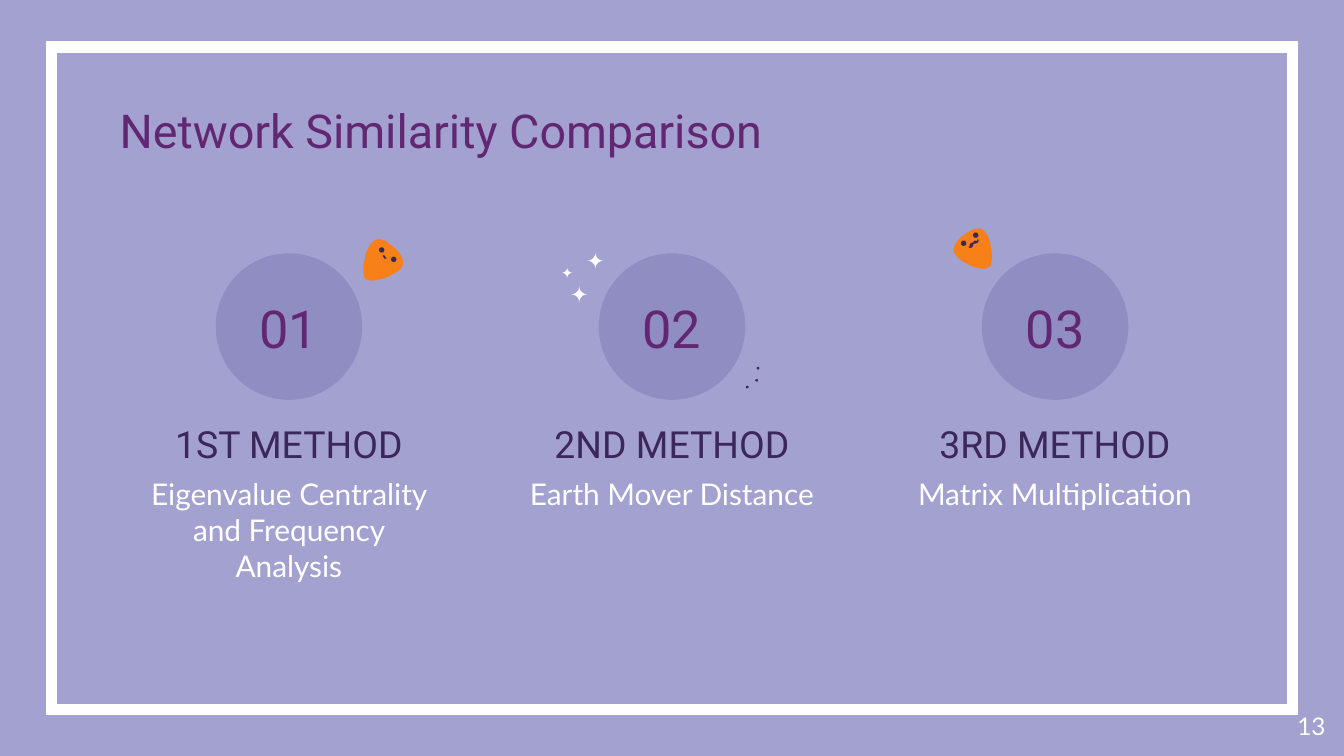
import math

import lxml.etree
import pptx
import pptx.dml.color
import pptx.enum.shapes
import pptx.enum.text
import pptx.oxml.ns
import pptx.util

Inches, Pt = pptx.util.Inches, pptx.util.Pt
RGBColor = pptx.dml.color.RGBColor
MSO_SHAPE = pptx.enum.shapes.MSO_SHAPE
PP_ALIGN, MSO_ANCHOR = pptx.enum.text.PP_ALIGN, pptx.enum.text.MSO_ANCHOR

LAVENDER = RGBColor(0xA3, 0xA1, 0xD0)
VIOLET = RGBColor(0x8F, 0x8D, 0xC2)
PLUM = RGBColor(0x62, 0x27, 0x73)
INDIGO = RGBColor(0x3C, 0x27, 0x59)
ORANGE = RGBColor(0xF8, 0x80, 0x18)
WHITE = RGBColor(0xFF, 0xFF, 0xFF)

# Content
TITLE = "Network Similarity Comparison"
METHODS = [
    ("01", "1ST METHOD", "Eigenvalue Centrality and Frequency Analysis"),
    ("02", "2ND METHOD", "Earth Mover Distance"),
    ("03", "3RD METHOD", "Matrix Multiplication"),
]
PAGE = "13"

# Decorations: sparkles and dots as (centre x, centre y, radius)
SPARKLES = [(4.31, 2.19, 0.06), (4.22, 2.03, 0.04), (4.43, 1.94, 0.06)]
DOTS = [(5.56, 2.88, 0.01), (5.63, 2.83, 0.01), (5.64, 2.74, 0.01)]

# Candies: outlines as they appear, a start point and cubic Bezier triples
CANDIES = [
    {"angle": 29.3, "body_centre": (2.84, 1.96), "mouth_centre": (2.86, 1.92),
     "body": [(2.88, 1.8), (2.83, 1.77), (2.8, 1.77), (2.76, 1.81),
              (2.71, 1.87), (2.68, 2.04), (2.72, 2.08),
              (2.72, 2.08), (2.73, 2.08), (2.73, 2.08),
              (2.78, 2.11), (2.93, 2.05), (2.98, 2),
              (3.02, 1.95), (2.99, 1.89), (2.93, 1.84),
              (2.91, 1.82), (2.89, 1.81), (2.88, 1.8)],
     "mouth": [(2.86, 1.9), (2.85, 1.9), (2.85, 1.91), (2.86, 1.92),
               (2.86, 1.93), (2.88, 1.93), (2.88, 1.92),
               (2.87, 1.92), (2.87, 1.91), (2.86, 1.9)],
     "eyes": [(2.93, 1.93, 0.02), (2.84, 1.86, 0.02)]},
    {"angle": 292.3, "body_centre": (7.26, 1.83), "mouth_centre": (7.24, 1.81),
     "body": [(7.11, 1.82), (7.1, 1.84), (7.1, 1.87), (7.12, 1.89),
              (7.16, 1.95), (7.32, 2.02), (7.36, 1.98),
              (7.37, 1.98), (7.38, 1.97), (7.38, 1.96),
              (7.4, 1.9), (7.38, 1.77), (7.34, 1.72),
              (7.31, 1.67), (7.24, 1.69), (7.18, 1.74),
              (7.15, 1.76), (7.12, 1.79), (7.11, 1.82)],
     "mouth": [(7.26, 1.79), (7.25, 1.78), (7.24, 1.79), (7.24, 1.8),
               (7.22, 1.8), (7.21, 1.81), (7.21, 1.83),
               (7.21, 1.84), (7.2, 1.83), (7.2, 1.83),
               (7.21, 1.85), (7.24, 1.84), (7.24, 1.81),
               (7.27, 1.81), (7.29, 1.79), (7.27, 1.77),
               (7.27, 1.78), (7.27, 1.79), (7.26, 1.79)],
     "eyes": [(7.26, 1.75, 0.02), (7.17, 1.81, 0.02)]},
]


def paint(sp, color):
    sp.shadow.inherit = False
    sp.fill.solid()
    sp.fill.fore_color.rgb = color
    sp.line.fill.background()


def add_disc(s, cx, cy, r, color):
    sp = s.shapes.add_shape(MSO_SHAPE.OVAL, Inches(cx - r), Inches(cy - r),
                            Inches(2 * r), Inches(2 * r))
    paint(sp, color)


def turn_back(point, centre, angle):
    a = math.radians(-angle)
    dx, dy = point[0] - centre[0], point[1] - centre[1]
    return (centre[0] + dx * math.cos(a) - dy * math.sin(a),
            centre[1] + dx * math.sin(a) + dy * math.cos(a))


def add_curve(s, outline, color, angle=0, centre=(0, 0), steps=8):
    points = [outline[0]]
    for i in range(0, len(outline) - 1, 3):
        a, b, c, d = outline[i:i + 4]
        for k in range(1, steps + 1):
            t = k / steps
            u = 1 - t
            points.append(tuple(
                u**3 * a[n] + 3 * u * u * t * b[n] + 3 * u * t * t * c[n] + t**3 * d[n]
                for n in (0, 1)))
    # The shape's own rotation restores the visible direction
    points = [tuple(map(Inches, turn_back(point, centre, angle))) for point in points]
    builder = s.shapes.build_freeform(*points[0])
    builder.add_line_segments(points[1:], close=True)
    sp = builder.convert_to_shape()
    sp.rotation = angle
    paint(sp, color)


def add_sparkle(s, cx, cy, r):
    tips = [(0, -1), (-1, 0), (0, 1), (1, 0), (0, -1)]
    outline = [tips[0]]
    for (ax, ay), (bx, by) in zip(tips, tips[1:]):
        outline += [(0.45 * ax, 0.45 * ay), (0.45 * bx, 0.45 * by), (bx, by)]
    add_curve(s, [(cx + r * x, cy + r * y) for x, y in outline], WHITE)


def write(sp, text, size, font, color, align, anchor=MSO_ANCHOR.TOP, after=0):
    tf = sp.text_frame
    tf.word_wrap = True
    tf.auto_size = pptx.enum.text.MSO_AUTO_SIZE.NONE
    tf.vertical_anchor = anchor
    tf.margin_left = tf.margin_right = tf.margin_top = tf.margin_bottom = Inches(0.1)
    p = tf.paragraphs[0]
    p.text = text
    p.alignment = align
    p.space_before, p.space_after = Pt(0), Pt(after)
    p.font.size, p.font.name, p.font.color.rgb = Pt(size), font, color


def add_text(s, x, y, w, h, *args, **kwargs):
    sp = s.shapes.add_textbox(Inches(x), Inches(y), Inches(w), Inches(h))
    write(sp, *args, **kwargs)


# Widescreen slide, 16:9
prs = pptx.Presentation()
prs.slide_width, prs.slide_height = Inches(10), Inches(10 * 9 / 16)
s = prs.slides.add_slide(prs.slide_layouts[5])
s.background.fill.solid()
s.background.fill.fore_color.rgb = LAVENDER

# Frame with square corners
frame = s.shapes.add_shape(MSO_SHAPE.RECTANGLE, Inches((10 - 9.23) / 2), Inches(0.35),
                           Inches(9.23), Inches(4.93))
frame.shadow.inherit = False
frame.fill.background()
frame.line.color.rgb = WHITE
frame.line.width = Pt(6)
ln = frame.element.spPr.find(pptx.oxml.ns.qn("a:ln"))
lxml.etree.SubElement(ln, pptx.oxml.ns.qn("a:miter"), lim="800000")

# Title
title = s.shapes.title
title.left, title.top, title.width, title.height = map(Inches, (0.79, 0.66, 8.43, 0.67))
write(title, TITLE, 25, "Roboto", PLUM, PP_ALIGN.LEFT)

# Method columns
for i, (number, name, detail) in enumerate(METHODS):
    cx = 2.15 + 2.85 * i
    add_disc(s, cx, 2.43, 0.545, VIOLET)
    add_text(s, cx - 0.485, 2.05, 0.97, 0.77, number, 28, "Roboto", PLUM,
             PP_ALIGN.CENTER, MSO_ANCHOR.MIDDLE)
    add_text(s, cx - 1.17, 3.03, 2.34, 0.41, name, 20, "Roboto", INDIGO,
             PP_ALIGN.CENTER, after=16)
    add_text(s, cx - 1.17, 3.44, 2.34, 0.97, detail, 16, "Lato", WHITE,
             PP_ALIGN.CENTER, after=16)

# Decorations
for sparkle in SPARKLES:
    add_sparkle(s, *sparkle)
for candy in CANDIES:
    add_curve(s, candy["body"], ORANGE, candy["angle"], candy["body_centre"])
    add_curve(s, candy["mouth"], INDIGO, candy["angle"], candy["mouth_centre"])
    for eye in candy["eyes"]:
        add_disc(s, *eye, INDIGO)
for dot in DOTS:
    add_disc(s, *dot, INDIGO)

# Page number
add_text(s, 9.36, 5.19, 0.6, 0.43, PAGE, 13, "Lato", WHITE, PP_ALIGN.RIGHT)

prs.save("out.pptx")
